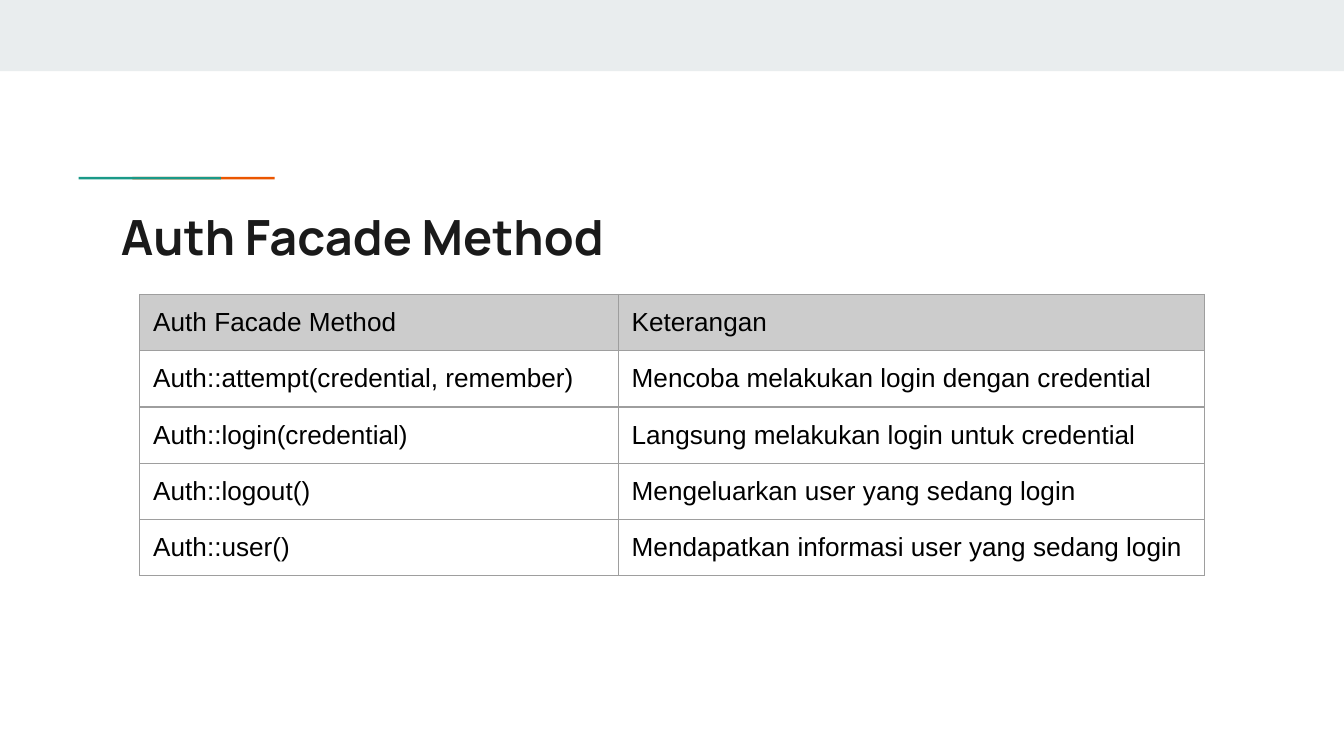
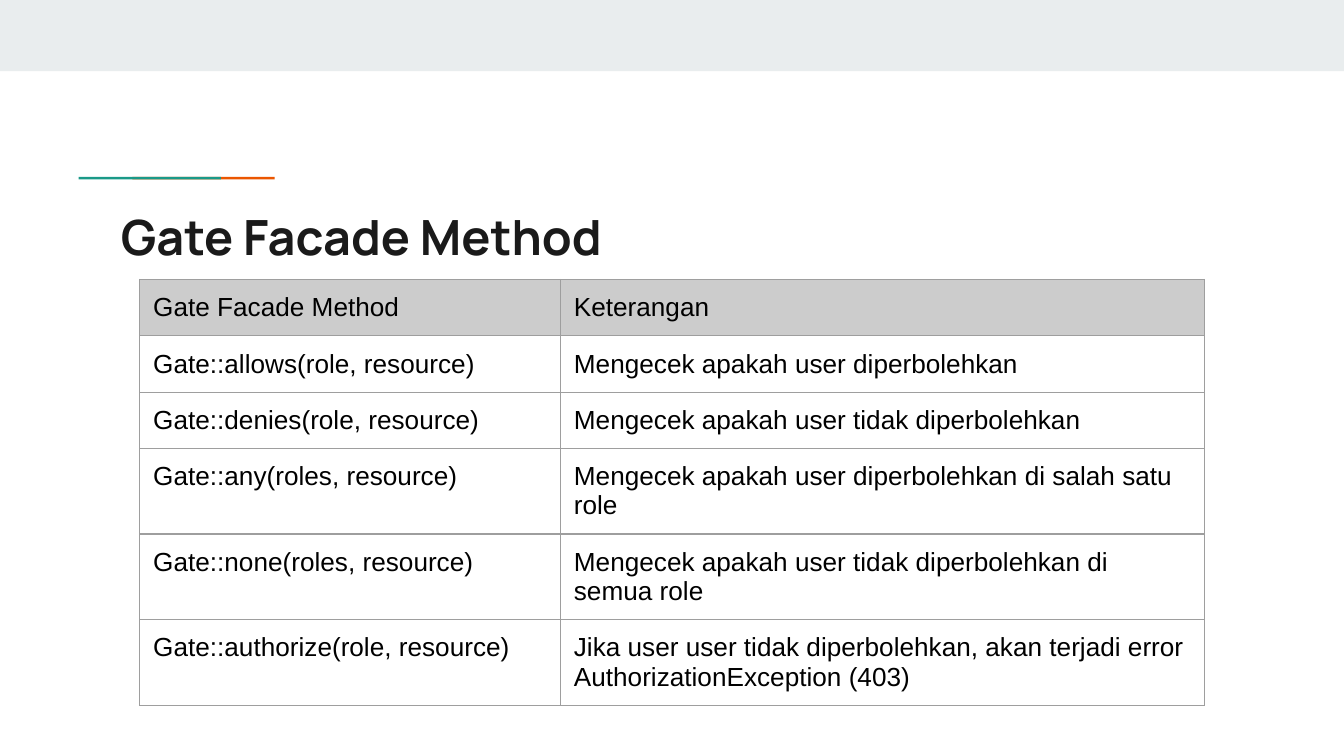
from dataclasses import dataclass

from lxml import etree
from pptx import Presentation
from pptx.dml.color import RGBColor
from pptx.enum.shapes import MSO_SHAPE
from pptx.enum.text import MSO_ANCHOR, MSO_AUTO_SIZE, PP_ALIGN
from pptx.oxml.ns import qn
from pptx.util import Inches, Pt

RECT = MSO_SHAPE.RECTANGLE
TOP = MSO_ANCHOR.TOP
LEFT = PP_ALIGN.LEFT
NO_FIT = MSO_AUTO_SIZE.NONE
TITLE_ONLY = 5


@dataclass(frozen=True)
class Theme:
    """Colours, fonts and sizes shared by the slides."""
    band: str = "E9EDEE"
    teal: str = "1A9988"
    orange: str = "EB5600"
    ink: str = "1A1A1A"
    text: str = "000000"
    header: str = "CCCCCC"
    border: str = "9E9E9E"
    title_font: str = "Manrope"
    body_font: str = "Arial"
    title_size: float = 26
    body_size: float = 14
    border_width: float = 0.75
    inset: float = 0.1
    row_height: float = 5 / 12


THEME = Theme()
WIDTH, HEIGHT = 10, 5.625
BAND = (0, 0, WIDTH, 0.53)
ACCENT = (1.09, 1.12, 0.45, 0.41)
BAR_WIDTH, BAR_LENGTH = 0.05, 1.06
TITLE = (0.8, 1.44, 8.41, 0.59)
TABLE_LEFT, TABLE_WIDTH = 1.04, 7.92

AUTH_ROWS = [
    ("Auth Facade Method", "Keterangan"),
    ("Auth::attempt(credential, remember)", "Mencoba melakukan login dengan credential"),
    ("Auth::login(credential)", "Langsung melakukan login untuk credential"),
    ("Auth::logout()", "Mengeluarkan user yang sedang login"),
    ("Auth::user()", "Mendapatkan informasi user yang sedang login"),
]
GATE_ROWS = [
    ("Gate Facade Method", "Keterangan"),
    ("Gate::allows(role, resource)", "Mengecek apakah user diperbolehkan"),
    ("Gate::denies(role, resource)", "Mengecek apakah user tidak diperbolehkan"),
    ("Gate::any(roles, resource)", "Mengecek apakah user diperbolehkan di salah satu role"),
    ("Gate::none(roles, resource)", "Mengecek apakah user tidak diperbolehkan di semua role"),
    ("Gate::authorize(role, resource)",
     "Jika user user tidak diperbolehkan, akan terjadi error AuthorizationException (403)"),
]


def write(tf, text, *, font, size, color, bold=False):
    """Put one formatted, left-aligned paragraph in a text frame."""
    tf.word_wrap = True
    p = tf.paragraphs[0]
    p.alignment = LEFT
    r = p.add_run()
    r.text = text
    r.font.name, r.font.size, r.font.bold = font, Pt(size), bold
    r.font.color.rgb = RGBColor.from_string(color)


def set_insets(target):
    """Give a text frame or cell the shared inner margins."""
    for side in ("left", "top", "right", "bottom"):
        setattr(target, f"margin_{side}", Inches(THEME.inset))


def add_rect(shapes, box, color, rotation=0):
    """Draw a flat rectangle without an outline."""
    sp = shapes.add_shape(RECT, *map(Inches, box))
    sp.rotation = rotation
    sp.shadow.inherit = False
    sp.fill.solid()
    sp.fill.fore_color.rgb = RGBColor.from_string(color)
    sp.line.fill.background()


def add_accent(s, box):
    """Group two overlapping turned bars and scale them to the box."""
    left, top, width, height = box
    group = s.shapes.add_group_shape()
    for x, color in ((left + width - BAR_WIDTH, THEME.orange), (left, THEME.teal)):
        add_rect(group.shapes, (x, top, BAR_WIDTH, BAR_LENGTH), color, rotation=270)
    group.height = Inches(height)


def add_title(s, box, text):
    """Move and fill the title placeholder."""
    sp = s.shapes.title
    sp.left, sp.top, sp.width, sp.height = map(Inches, box)
    tf = sp.text_frame
    tf.auto_size = NO_FIT
    tf.vertical_anchor = TOP
    set_insets(tf)
    write(tf, text, font=THEME.title_font, size=THEME.title_size,
          color=THEME.ink, bold=True)


def set_borders(cell):
    """Line all four sides of a cell, ahead of its fill."""
    tc_pr = cell._tc.get_or_add_tcPr()
    for i, side in enumerate(("lnL", "lnR", "lnT", "lnB")):
        ln = etree.Element(qn(f"a:{side}"), w=str(Pt(THEME.border_width)))
        fill = etree.SubElement(ln, qn("a:solidFill"))
        etree.SubElement(fill, qn("a:srgbClr"), val=THEME.border)
        tc_pr.insert(i, ln)


def add_method_table(s, box, rows, first_width):
    """Build a two-column table whose first row is shaded."""
    left, top, width, height = box
    table = s.shapes.add_table(len(rows), 2, *map(Inches, box)).table
    table.horz_banding = False
    for col, col_width in zip(table.columns, (first_width, width - first_width)):
        col.width = Inches(col_width)
    for i, row in enumerate(rows):
        table.rows[i].height = Inches(height / len(rows))
        for cell, text in zip(table.rows[i].cells, row):
            set_insets(cell)
            cell.vertical_anchor = TOP
            if i == 0:
                cell.fill.solid()
                cell.fill.fore_color.rgb = RGBColor.from_string(THEME.header)
            else:
                cell.fill.background()
            set_borders(cell)
            write(cell.text_frame, text, font=THEME.body_font,
                  size=THEME.body_size, color=THEME.text)


def add_method_slide(prs, title, rows, table_top, first_width):
    """Add a slide with band, accent, title and method table."""
    s = prs.slides.add_slide(prs.slide_layouts[TITLE_ONLY])
    add_rect(s.shapes, BAND, THEME.band)
    add_accent(s, ACCENT)
    add_title(s, TITLE, title)
    box = (TABLE_LEFT, table_top, TABLE_WIDTH, THEME.row_height * len(rows))
    add_method_table(s, box, rows, first_width)


def main():
    """Build and save both slides."""
    prs = Presentation()
    prs.slide_width, prs.slide_height = Inches(WIDTH), Inches(HEIGHT)
    add_method_slide(prs, "Auth Facade Method", AUTH_ROWS, 2.19, 3.56)
    add_method_slide(prs, "Gate Facade Method", GATE_ROWS, 2.08, 3.13)
    prs.save("out.pptx")


if __name__ == "__main__":
    main()
